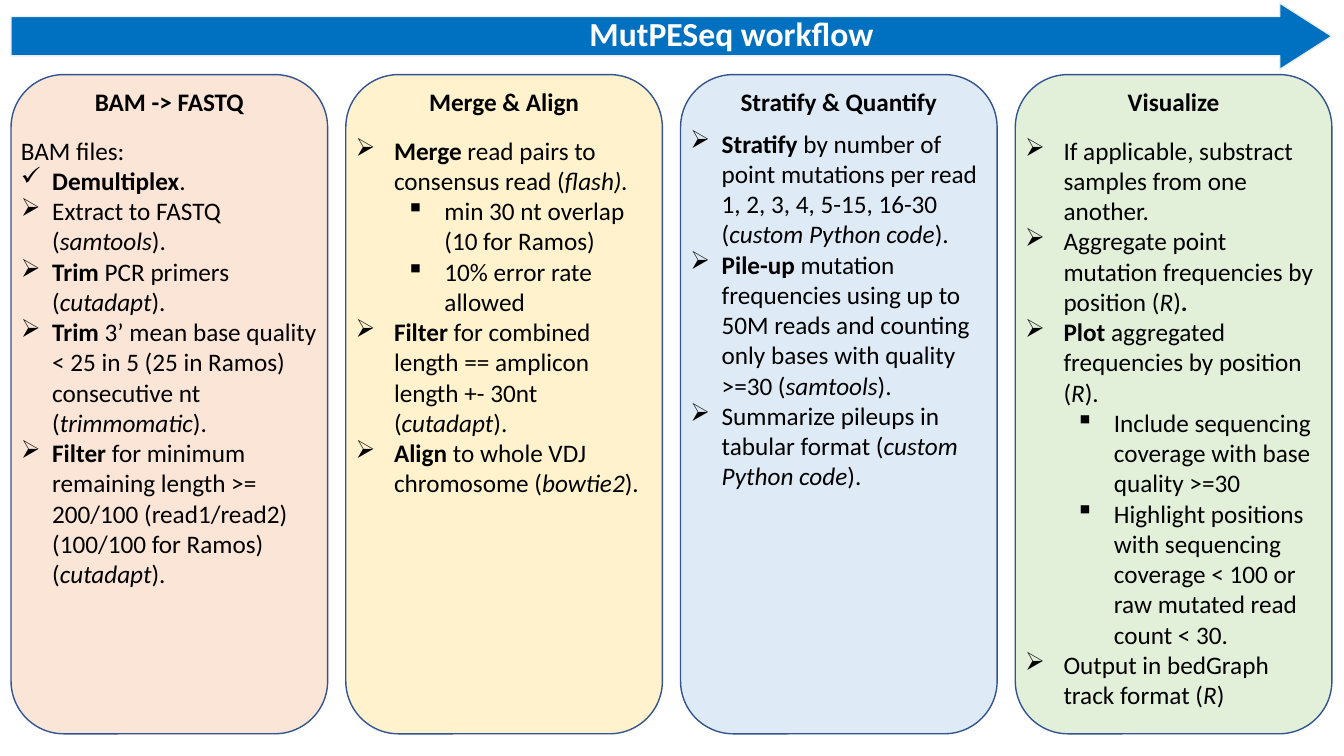
import pptx
import pptx.dml.color
import pptx.enum.shapes
import pptx.enum.text
import pptx.oxml
import pptx.oxml.ns
import pptx.util
from pptx.util import Inches

RGBColor = pptx.dml.color.RGBColor
SHAPES = pptx.enum.shapes.MSO_SHAPE
ALIGN = pptx.enum.text.PP_ALIGN

BLACK = RGBColor(0x00, 0x00, 0x00)
WHITE = RGBColor(0xFF, 0xFF, 0xFF)
BLUE = RGBColor(0x00, 0x70, 0xC0)
PALE_GREY = RGBColor(0xED, 0xED, 0xED)
NAVY = RGBColor(0x32, 0x54, 0x91)
PEACH = RGBColor(0xFB, 0xE5, 0xD6)
CREAM = RGBColor(0xFF, 0xF2, 0xCC)
PALE_BLUE = RGBColor(0xDE, 0xEB, 0xF7)
PALE_GREEN = RGBColor(0xE2, 0xF0, 0xD9)

# Card grid, in inches
LEFT, TOP, PITCH, CARD_W, CARD_H = 0.11, 0.74, 3.32, 3.14, 6.54
BULLET_FONTS = {"✓": "Wingdings", "➢": "Wingdings", "▪": "Wingdings"}
BULLETS = "✓➢▪"

# Heading, fill, body top, body height, bullet indent, lines (*bold*, _italic_)
STEPS = [
    ("BAM -> FASTQ", PEACH, 1.29, 4.64, 0.31, [
        "BAM files:",
        "✓*Demultiplex*.",
        "➢Extract to FASTQ (_samtools_).",
        "➢*Trim* PCR primers (_cutadapt_).",
        "➢*Trim* 3’ mean base quality < 25 in 5 (25 in Ramos) "
        "consecutive nt (_trimmomatic_).",
        "➢*Filter* for minimum remaining length >= 200/100 (read1/read2) "
        "(100/100 for Ramos) (_cutadapt_).",
    ]),
    ("Merge & Align", CREAM, 1.29, 3.74, 0.38, [
        "➢*Merge *read pairs to consensus read (_flash)._",
        "▪min 30 nt overlap (10 for Ramos)",
        "▪10% error rate allowed",
        "➢*Filter* for combined length == amplicon length +- 30nt (_cutadapt_).",
        "➢*Align* to whole VDJ chromosome (_bowtie2_).",
    ]),
    ("Stratify & Quantify", PALE_BLUE, 1.22, 4.04, 0.31, [
        "➢*Stratify* by number of point mutations per read "
        "1, 2, 3, 4, 5-15, 16-30 (_custom Python code_).",
        "➢*Pile-up* mutation frequencies using up to 50M reads and counting "
        "only bases with quality >=30 (_samtools_).",
        "➢Summarize pileups in tabular format (_custom Python code_).",
    ]),
    ("Visualize", PALE_GREEN, 1.29, 5.86, 0.38, [
        "➢If applicable, substract samples from one another.",
        "➢Aggregate point mutation frequencies by position (_R_)*.*",
        "➢*Plot* aggregated frequencies by position (_R_).",
        "▪Include sequencing coverage with base quality >=30",
        "▪Highlight positions with sequencing coverage < 100 or "
        "raw mutated read count < 30.",
        "➢Output in bedGraph track format (_R_)",
    ]),
]


def write(p, text, size=18, color=BLACK, align=ALIGN.LEFT, indent=0):
    """Fill a paragraph from text with an optional bullet, *bold* and _italic_."""
    p.alignment = align
    if text[0] in BULLETS:
        bullet, text = text[0], text[1:]
        p.level = 1 if bullet == "▪" else 0
        pPr = p._p.get_or_add_pPr()
        pPr.set("marL", str(Inches(indent + 0.5 * p.level)))
        pPr.set("indent", str(-Inches(indent)))
        bu = pptx.oxml.parse_xml(
            f'<a:buChar {pptx.oxml.ns.nsdecls("a")} char="{bullet}"/>')
        pPr.append(bu)
    for i, part in enumerate(text.split("*")):
        for j, piece in enumerate(part.split("_")):
            if piece:
                r = p.add_run()
                r.text = piece
                r.font.name = "Calibri"
                r.font.size = pptx.util.Pt(size)
                r.font.color.rgb = color
                r.font.bold = i % 2 == 1
                r.font.italic = j % 2 == 1


def add_box(slide, kind, box, fill, line):
    sp = slide.shapes.add_shape(kind, *map(Inches, box))
    sp.shadow.inherit = False
    sp.fill.solid()
    sp.fill.fore_color.rgb = fill
    sp.line.color.rgb = line
    sp.line.width = pptx.util.Pt(1)
    return sp


prs = pptx.Presentation()
prs.slide_width, prs.slide_height = Inches(13.33), Inches(7.5)
slide = prs.slides.add_slide(prs.slide_layouts[5])

# Arrow banner with the title in front of it
arrow = add_box(slide, SHAPES.RIGHT_ARROW, (LEFT, 0.03, 13.1, 0.66), BLUE, PALE_GREY)
arrow.adjustments[0], arrow.adjustments[1] = 0.593, 0.783
title = slide.shapes.title
title.left, title.top = Inches(5.73), Inches(0.08)
title.width, title.height = Inches(3.05), Inches(0.5)
tf = title.text_frame
tf.auto_size = pptx.enum.text.MSO_AUTO_SIZE.NONE
tf.word_wrap = False
tf.vertical_anchor = pptx.enum.text.MSO_ANCHOR.TOP
write(tf.paragraphs[0], "*MutPESeq workflow*", size=24, color=WHITE, align=ALIGN.CENTER)
arrow.element.addnext(title.element)

# One card per step: background, heading, instructions
for col, (heading, fill, top, height, indent, lines) in enumerate(STEPS):
    x = LEFT + col * PITCH
    add_box(slide, SHAPES.ROUNDED_RECTANGLE, (x, TOP, CARD_W, CARD_H), fill, NAVY)

    head = slide.shapes.add_textbox(*map(Inches, (x, 0.81, CARD_W, 0.4)))
    head.text_frame.word_wrap = True
    write(head.text_frame.paragraphs[0], f"*{heading}*", align=ALIGN.CENTER)

    body = slide.shapes.add_textbox(*map(Inches, (x, top, CARD_W, height)))
    tf = body.text_frame
    tf.word_wrap = True
    for n, line in enumerate(lines):
        p = tf.add_paragraph() if n else tf.paragraphs[0]
        write(p, line, indent=indent)

prs.save("out.pptx")
